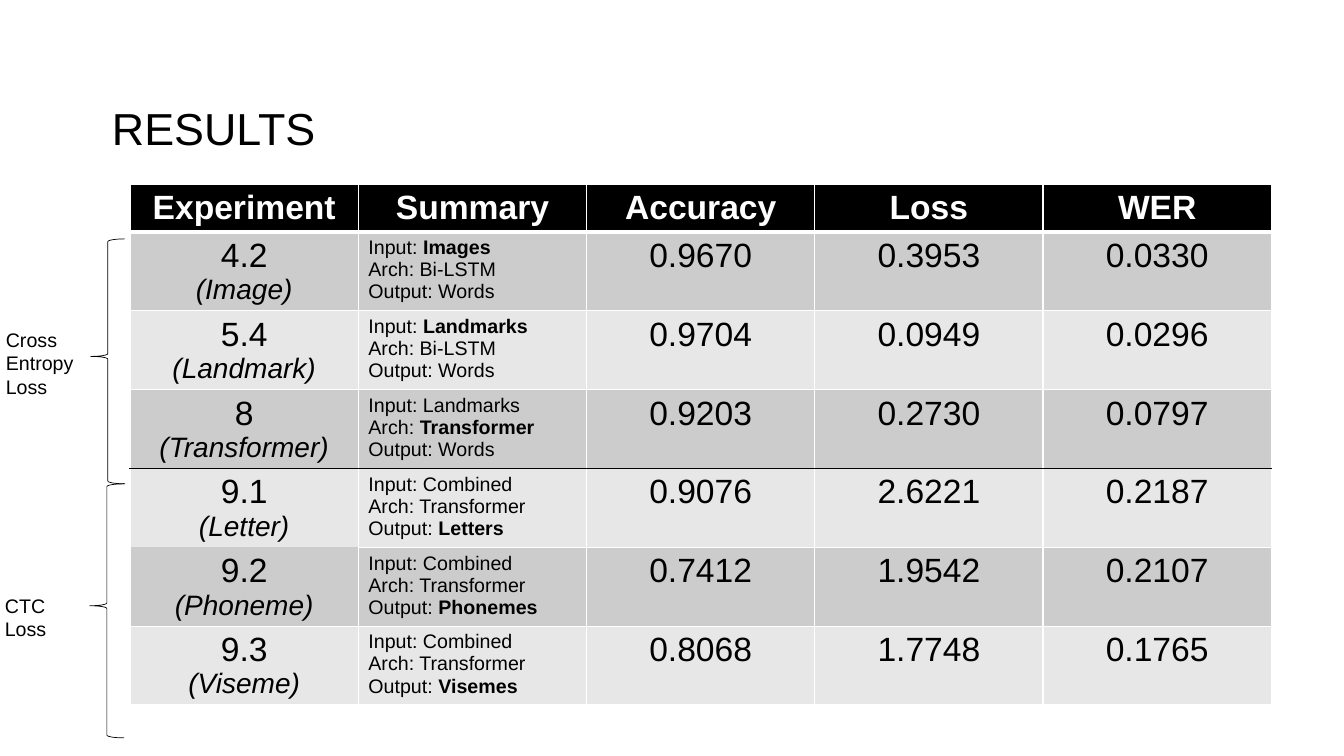
from lxml.etree import SubElement
from pptx import Presentation
from pptx.dml.color import RGBColor
from pptx.enum.shapes import MSO_SHAPE
from pptx.enum.text import MSO_ANCHOR, PP_ALIGN
from pptx.oxml.ns import qn
from pptx.util import Inches, Pt

BLACK = RGBColor(0x00, 0x00, 0x00)
WHITE = RGBColor(0xFF, 0xFF, 0xFF)
DARK_BAND = RGBColor(0xCC, 0xCC, 0xCC)
LIGHT_BAND = RGBColor(0xE7, 0xE7, 0xE7)
FONT = "Arial"

HEADINGS = ["Experiment", "Summary", "Accuracy", "Loss", "WER"]
SUMMARY_LABELS = ["Input", "Arch", "Output"]
EXPERIMENTS = [
    ("4.2", "Image", ("Images", "Bi-LSTM", "Words"), "Input", ("0.9670", "0.3953", "0.0330")),
    ("5.4", "Landmark", ("Landmarks", "Bi-LSTM", "Words"), "Input", ("0.9704", "0.0949", "0.0296")),
    ("8", "Transformer", ("Landmarks", "Transformer", "Words"), "Arch", ("0.9203", "0.2730", "0.0797")),
    ("9.1", "Letter", ("Combined", "Transformer", "Letters"), "Output", ("0.9076", "2.6221", "0.2187")),
    ("9.2", "Phoneme", ("Combined", "Transformer", "Phonemes"), "Output", ("0.7412", "1.9542", "0.2107")),
    ("9.3", "Viseme", ("Combined", "Transformer", "Visemes"), "Output", ("0.8068", "1.7748", "0.1765")),
]
LAST_CROSS_ENTROPY_ROW = 3
UNDIVIDED_ROW = 4


def style_run(run, size, color=BLACK, bold=False, italic=False):
    """Give a run its font, size, colour and emphasis."""
    run.font.name = FONT
    run.font.size = Pt(size)
    run.font.color.rgb = color
    run.font.bold = bold
    run.font.italic = italic


def write_centred(cell, lines, sizes, color=BLACK, bold=False):
    """Write centred lines, with every line after the first in italics."""
    cell.text_frame.text = "\n".join(lines)
    for index, paragraph in enumerate(cell.text_frame.paragraphs):
        paragraph.alignment = PP_ALIGN.CENTER
        style_run(paragraph.runs[0], sizes[index], color, bold, italic=index > 0)


def write_summary(cell, settings, highlight):
    """Write the labelled settings and embolden the highlighted one."""
    cell.text_frame.text = "\n".join(f"{label}: " for label in SUMMARY_LABELS)
    for paragraph, label, setting in zip(cell.text_frame.paragraphs, SUMMARY_LABELS, settings):
        style_run(paragraph.runs[0], 14)
        value = paragraph.add_run()
        value.text = setting
        style_run(value, 14, bold=label == highlight)


def draw_border(cell, side, color, width=1):
    """Draw one side of a cell, or leave it open when there is no colour."""
    line = SubElement(cell._tc.get_or_add_tcPr(), qn(f"a:ln{side}"), w=str(Pt(width)))
    if color is None:
        SubElement(line, qn("a:noFill"))
    else:
        fill = SubElement(line, qn("a:solidFill"))
        SubElement(fill, qn("a:srgbClr"), val=str(color))


def rule_below(row, column):
    """Return the colour and width of the rule beneath a cell."""
    if row == 0:
        return WHITE, 3
    if row == LAST_CROSS_ENTROPY_ROW:
        return BLACK, 1
    if row == UNDIVIDED_ROW and column == 0:
        return None, 1
    return WHITE, 1


def format_cell(cell, row, column):
    """Set the borders and the band colour of a cell."""
    draw_border(cell, "L", WHITE)
    draw_border(cell, "R", WHITE)
    draw_border(cell, "T", *(rule_below(row - 1, column) if row else (WHITE, 1)))
    draw_border(cell, "B", *rule_below(row, column))
    cell.fill.solid()
    cell.fill.fore_color.rgb = BLACK if row == 0 else DARK_BAND if row % 2 else LIGHT_BAND


def add_title(slide, left, top, width, height):
    """Place the slide title in its box."""
    title = slide.shapes.title
    title.left, title.top, title.width, title.height = left, top, width, height
    title.text_frame.text = "RESULTS"
    title.text_frame.vertical_anchor = MSO_ANCHOR.MIDDLE
    paragraph = title.text_frame.paragraphs[0]
    paragraph.alignment = PP_ALIGN.LEFT
    paragraph.line_spacing = 0.9
    style_run(paragraph.runs[0], 32)


def add_results_table(slide, left, top, width, header_height, row_height):
    """Place the table of experiments."""
    height = header_height + row_height * len(EXPERIMENTS)
    results = slide.shapes.add_table(
        len(EXPERIMENTS) + 1, len(HEADINGS), left, top, width, height).table
    for index, row in enumerate(results.rows):
        row.height = row_height if index else header_height
    for column, heading in enumerate(HEADINGS):
        write_centred(results.cell(0, column), [heading], [24], WHITE, bold=True)
    for row, (number, name, settings, highlight, scores) in enumerate(EXPERIMENTS, 1):
        write_centred(results.cell(row, 0), [number, f"({name})"], [24, 20])
        write_summary(results.cell(row, 1), settings, highlight)
        for column, score in enumerate(scores, 2):
            write_centred(results.cell(row, column), [score], [24])
    for row in range(len(EXPERIMENTS) + 1):
        for column in range(len(HEADINGS)):
            format_cell(results.cell(row, column), row, column)


def add_loss_bracket(slide, loss_name, left, top, height, label_top, label_height):
    """Place a brace beside its rows with the loss name to its left."""
    bracket = slide.shapes.add_group_shape()
    label = bracket.shapes.add_textbox(
        left - Inches(0.94), label_top, Inches(1), label_height)
    label.text_frame.word_wrap = True
    label.text_frame.text = loss_name
    style_run(label.text_frame.paragraphs[0].runs[0], 14)
    brace = bracket.shapes.add_shape(
        MSO_SHAPE.LEFT_BRACE, left, top, Inches(0.34), height)
    brace.adjustments[0] = 0.08
    brace.adjustments[1] = 0.48
    brace.shadow.inherit = False
    brace.fill.background()
    brace.line.color.rgb = BLACK
    brace.line.width = Pt(0.5)


def main():
    """Build and save the results slide."""
    presentation = Presentation()
    presentation.slide_width = Inches(13.33)
    presentation.slide_height = Inches(7.5)
    slide = presentation.slides.add_slide(presentation.slide_layouts[5])
    add_title(slide, Inches(1.01), Inches(0.64), Inches(11.32), Inches(1.32))
    add_results_table(slide, Inches(1.29), Inches(1.83), Inches(11.32),
                      Inches(0.47), Inches(0.78))
    add_loss_bracket(slide, "CTC Loss", Inches(0.89), Inches(4.8), Inches(2.52),
                     Inches(5.84), Inches(0.58))
    add_loss_bracket(slide, "Cross Entropy Loss", Inches(0.9), Inches(2.37), Inches(2.43),
                     Inches(3.2), Inches(0.81))
    presentation.save("out.pptx")


if __name__ == "__main__":
    main()
